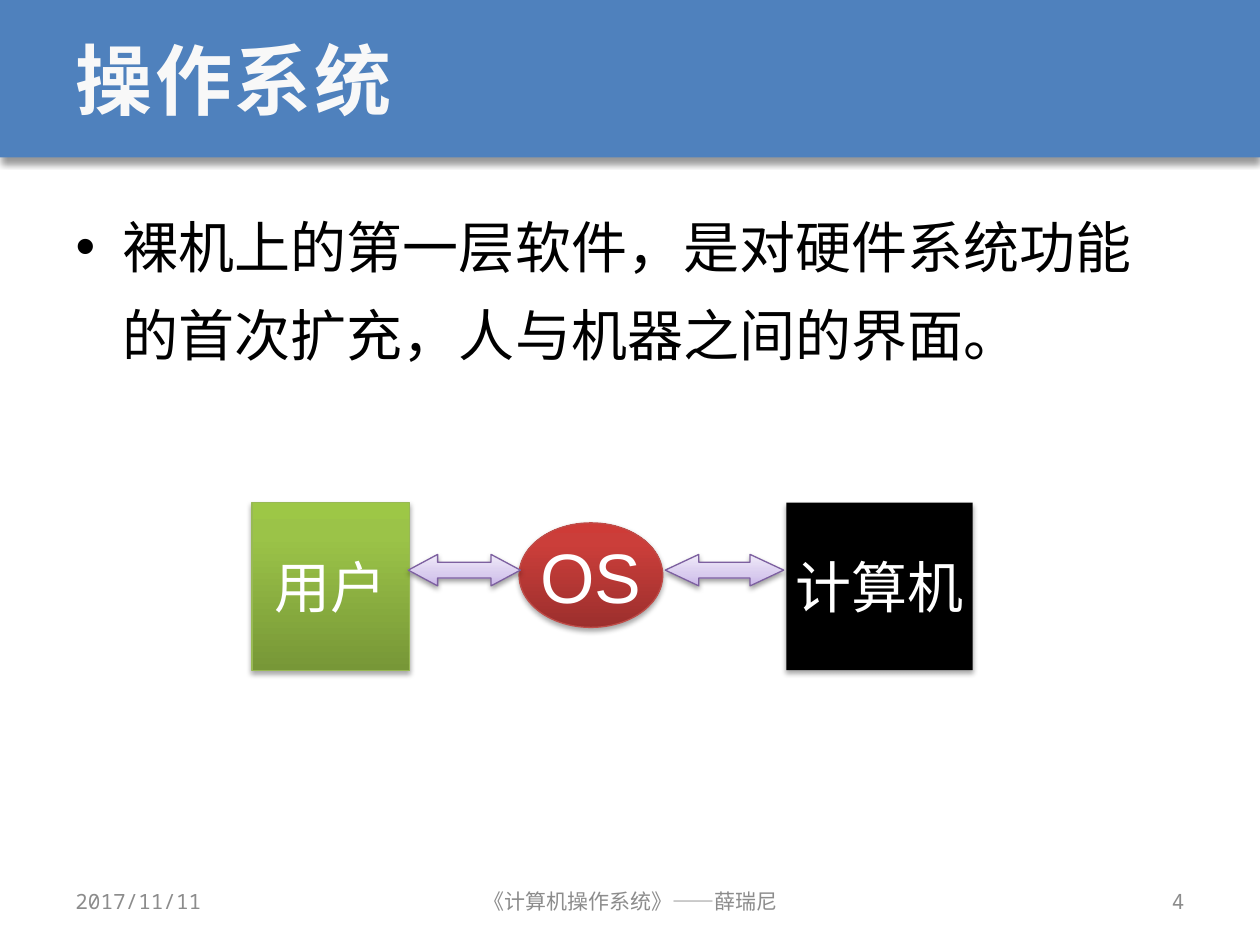
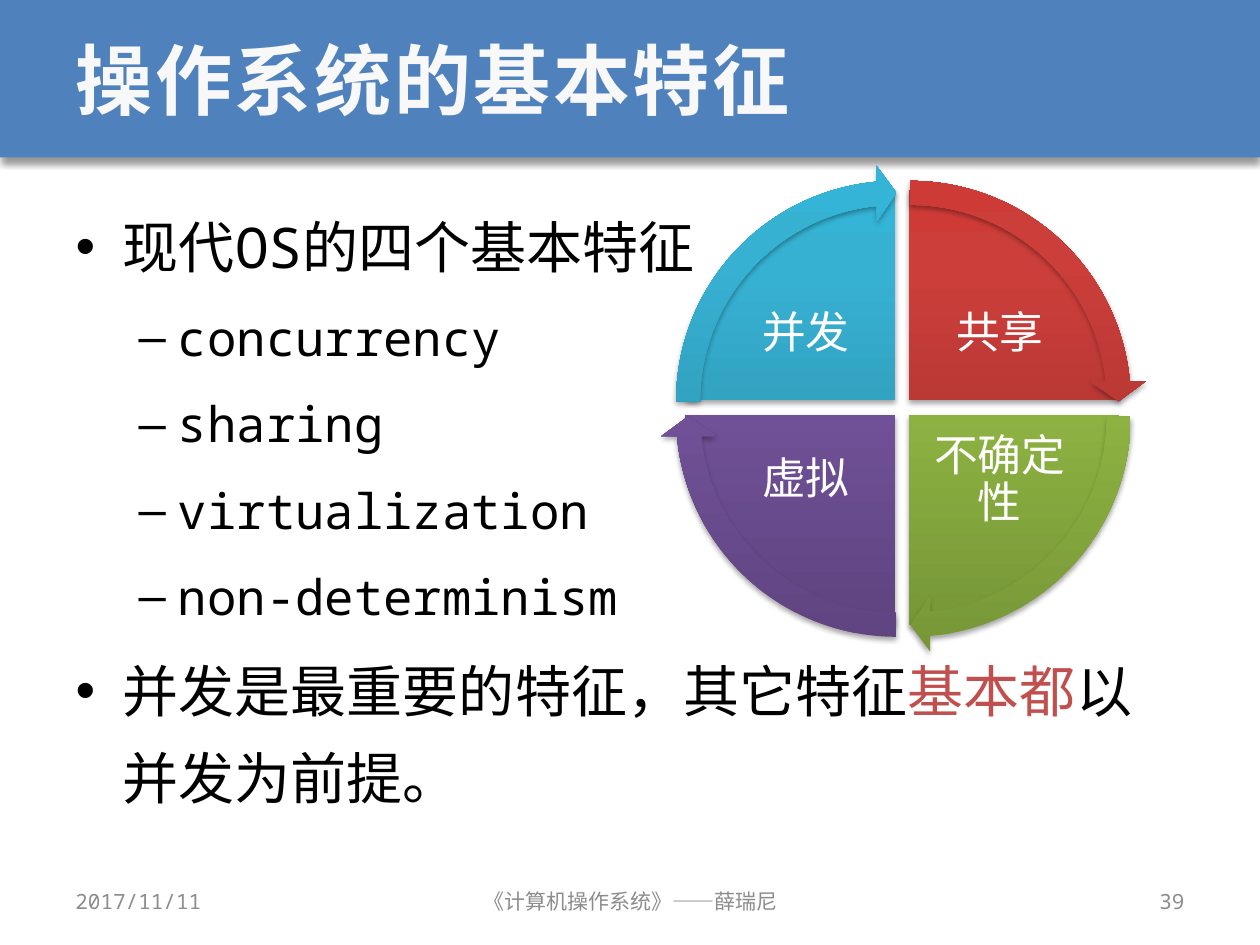
import copy

import pptx
import pptx.dml.color
import pptx.enum.shapes
import pptx.enum.text
import pptx.oxml
import pptx.oxml.ns
import pptx.util
from pptx.util import Inches

SHAPE = pptx.enum.shapes.MSO_SHAPE
ALIGN = pptx.enum.text.PP_ALIGN
MIDDLE = pptx.enum.text.MSO_ANCHOR.MIDDLE
MONO, SANS, SERIF = "Noto Sans Mono", "Arial", "Times New Roman"

COLORS = {
    "band": "4F81BD", "title": "F8F8F8", "text": "000000", "footer": "8C8C8C",
    "white": "FFFFFF", "black": "000000", "accent": "C0504D",
    "green_line": "98B955", "red_line": "BF4C48", "lilac_line": "7D60A0",
}
GRADIENTS = {
    "green": [(0, "779737"), (0.8, "9BC348"), (1, "9DC746")],
    "red": [(0, "9C2F2D"), (0.8, "CB3E3A"), (1, "CE3B37")],
    "purple": [(0, "5F4480"), (0.8, "7B58A6"), (1, "7C57A8")],
    "teal": [(0, "2A88A2"), (0.8, "37B1D2"), (1, "34B4D6")],
    "lilac": [(0, "C9B5E8"), (0.35, "D8CBEE"), (1, "F0EAF9")],
}
DATE, COURSE = "2017/11/11", "《计算机操作系统》——薛瑞尼"
BAND_SHADOW, SOFT_SHADOW, ARROW_SHADOW = (40, 4, 3), (35, 3.1, 1.8), (38, 3.1, 1.6)


def rgb(name):
    return pptx.dml.color.RGBColor.from_string(COLORS.get(name, name))


def set_font(font, size, name, color, bold=None):
    font.size, font.name, font.bold = pptx.util.Pt(size), name, bold
    font.color.rgb = rgb(color)


class Deck:
    """Holds the shared style and the slide being filled."""

    def __init__(self):
        self.prs = pptx.Presentation()
        self.prs.slide_width, self.prs.slide_height = Inches(10), Inches(7.5)
        self.layout = self.prs.slide_layouts[1]
        self.s = None

    def slide(self, title, number):
        first = self.s is None
        self.s = self.prs.slides.add_slide(self.layout)
        if first:
            self.band()
        sp = self.s.shapes.title
        self.place(sp, 0.5, 0, 9, 1.25)
        sp.text_frame.vertical_anchor = MIDDLE
        p = sp.text_frame.paragraphs[0]
        p.text, p.alignment = title, ALIGN.LEFT
        set_font(p.font, 44, MONO, "title", True)
        p._p.pPr.find(pptx.oxml.ns.qn("a:defRPr")).set("spc", "150")
        for text, x, w, align in ((DATE, 0.5, 2.33, ALIGN.LEFT),
                                  (COURSE, 3.42, 3.17, ALIGN.CENTER),
                                  (str(number), 7.17, 2.33, ALIGN.RIGHT)):
            self.text(text, x, 6.95, w, 0.4, 12, MONO, "footer", align)

    def band(self):
        """Draw the title band and move it to the layout, behind everything."""
        sp = self.shape(SHAPE.RECTANGLE, 0, 0, 10, 1.25, "band", BAND_SHADOW)
        self.layout.shapes._spTree.insert(2, sp._element)

    def place(self, sp, x, y, w, h):
        sp.left, sp.top, sp.width, sp.height = map(Inches, (x, y, w, h))

    def body(self, items):
        """Fill the list; each item is a level and its runs of (text, colour)."""
        sp = self.s.placeholders[1]
        self.place(sp, 0.5, 1.48, 9, 5.33)
        tf = sp.text_frame
        tf.auto_size = pptx.enum.text.MSO_AUTO_SIZE.NONE
        for i, (level, runs) in enumerate(items):
            p = tf.add_paragraph() if i else tf.paragraphs[0]
            p.level, p.line_spacing = level, 1.3
            if i == 0:
                p.space_before = pptx.util.Pt(0)
            set_font(p.font, 28 if level else 32, MONO, "text")
            for text, color in runs:
                r = p.add_run()
                r.text = text
                if color != "text":
                    r.font.color.rgb = rgb(color)

    def text(self, text, x, y, w, h, size, font, color, align, inset=None, spacing=None):
        sp = self.s.shapes.add_textbox(*map(Inches, (x, y, w, h)))
        tf = sp.text_frame
        tf.word_wrap = True
        if inset is not None:
            tf.margin_left = tf.margin_right = Inches(inset)
            tf.margin_top = tf.margin_bottom = Inches(inset)
        self.label(tf, text, size, font, color, align, spacing)

    def label(self, tf, text, size, font, color, align, spacing=None):
        tf.vertical_anchor = MIDDLE
        p = tf.paragraphs[0]
        p.text, p.alignment, p.line_spacing = text, align, spacing
        set_font(p.font, size, font, color)

    def shape(self, kind, x, y, w, h, fill, shadow, line=None, adj=()):
        sp = self.s.shapes.add_shape(kind, *map(Inches, (x, y, w, h)))
        for i, value in enumerate(adj):
            sp.adjustments[i] = value
        if fill in GRADIENTS:
            self.gradient(sp, GRADIENTS[fill])
        else:
            sp.fill.solid()
            sp.fill.fore_color.rgb = rgb(fill)
        if line:
            sp.line.color.rgb, sp.line.width = rgb(line), pptx.util.Pt(0.75)
        else:
            sp.line.fill.background()
        self.shadow(sp, *shadow)
        return sp

    def gradient(self, sp, stops):
        sp.fill.gradient()
        sp.fill.gradient_angle = 90
        gs_lst = sp._element.spPr.find(".//" + pptx.oxml.ns.qn("a:gsLst"))
        gs_lst.append(copy.deepcopy(gs_lst[-1]))
        for stop, (position, color) in zip(sp.fill.gradient_stops, stops):
            stop.position, stop.color.rgb = position, rgb(color)

    def shadow(self, sp, alpha, blur, distance):
        """Cast a black shadow straight down; blur and distance are in points."""
        sp.shadow.inherit = False
        effects = sp._element.spPr.find(pptx.oxml.ns.qn("a:effectLst"))
        effects.append(pptx.oxml.parse_xml(
            f'<a:outerShdw {pptx.oxml.ns.nsdecls("a")} blurRad="{pptx.util.Pt(blur)}" '
            f'dist="{pptx.util.Pt(distance)}" dir="5400000" rotWithShape="0">'
            f'<a:srgbClr val="000000"><a:alpha val="{alpha * 1000}"/></a:srgbClr>'
            '</a:outerShdw>'))

    def node(self, kind, text, x, y, w, h, fill, line, size, font):
        sp = self.shape(kind, x, y, w, h, fill, SOFT_SHADOW, line)
        sp.text_frame.word_wrap = False
        self.label(sp.text_frame, text, size, font, "white", ALIGN.CENTER)

    def cycle(self, quadrants):
        """Draw four quarter pies, clockwise from top right, ringed by arrows."""
        turn = 0.6  # adjustment units per degree
        arrows = []
        for i, (label, fill) in enumerate(quadrants):
            right, top = i < 2, i in (0, 3)
            start = (270 + 90 * i) % 360
            x, y = 5.55 if right else 5.44, 1.51 if top else 1.63
            self.shape(SHAPE.PIE, x, y, 3.33, 3.33, fill, SOFT_SHADOW,
                       adj=(start * turn, (start + 90) % 360 * turn))
            self.text(label, 7.32 if right else 5.78, 2.2 if top else 3.36, 1.23, 0.91,
                      25, SANS, "white", ALIGN.CENTER, 0.03, 0.9)
            arrows.append((x - 0.2, y - 0.2, fill, start * turn))
        for x, y, fill, start in arrows:
            self.shape(SHAPE.CIRCULAR_ARROW, x, y, 3.75, 3.75, fill, SOFT_SHADOW,
                       adj=(0.051, 3.275, start + 50.725, start, 0.059))


def user_os_computer(deck):
    deck.slide("操作系统", 4)
    deck.body([(0, [("裸机上的第一层软件，是对硬件系统功能的首次扩充，人与机器之间的界面。", "text")])])
    deck.node(SHAPE.RECTANGLE, "用户", 2, 3.99, 1.25, 1.33, "green", "green_line", 32, SERIF)
    deck.node(SHAPE.RECTANGLE, "计算机", 6.24, 3.99, 1.48, 1.33, "black", None, 32, SERIF)
    deck.node(SHAPE.OVAL, "OS", 4.12, 4.15, 1.14, 0.83, "red", "red_line", 40, SANS)
    for x, w, head in ((3.24, 0.89, 0.933), (5.28, 0.94, 1.067)):
        deck.shape(SHAPE.LEFT_RIGHT_ARROW, x, 4.4, w, 0.25, "lilac", ARROW_SHADOW,
                   "lilac_line", (0.5, head))


def basic_features(deck):
    deck.slide("操作系统的基本特征", 39)
    features = ("concurrency", "sharing", "virtualization", "non-determinism")
    deck.body([(0, [("现代OS的四个基本特征", "text")])]
              + [(1, [(name, "text")]) for name in features]
              + [(0, [("并发是最重要的特征，其它特征", "text"), ("基本都", "accent"),
                      ("以并发为前提。", "text")])])
    deck.cycle([("共享", "red"), ("不确定性", "green"), ("虚拟", "purple"), ("并发", "teal")])


def main():
    deck = Deck()
    user_os_computer(deck)
    basic_features(deck)
    deck.prs.save("out.pptx")


if __name__ == "__main__":
    main()
